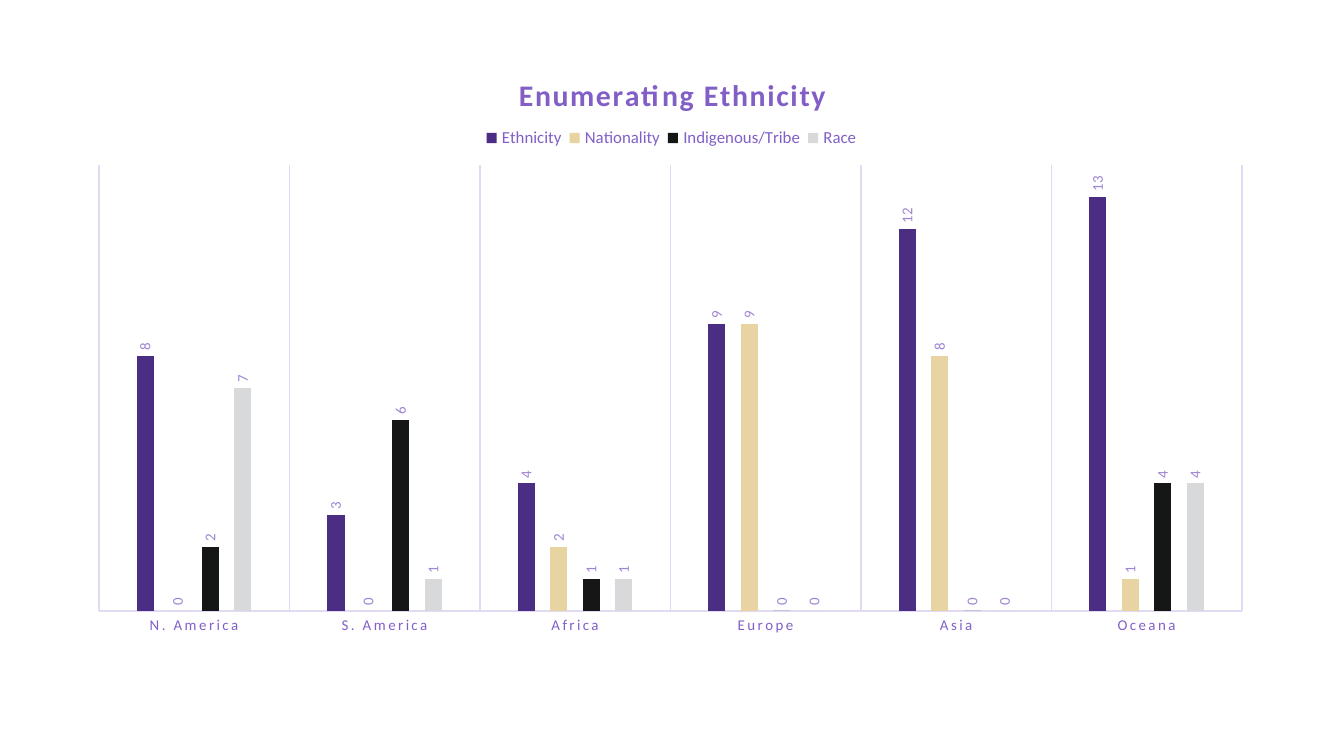
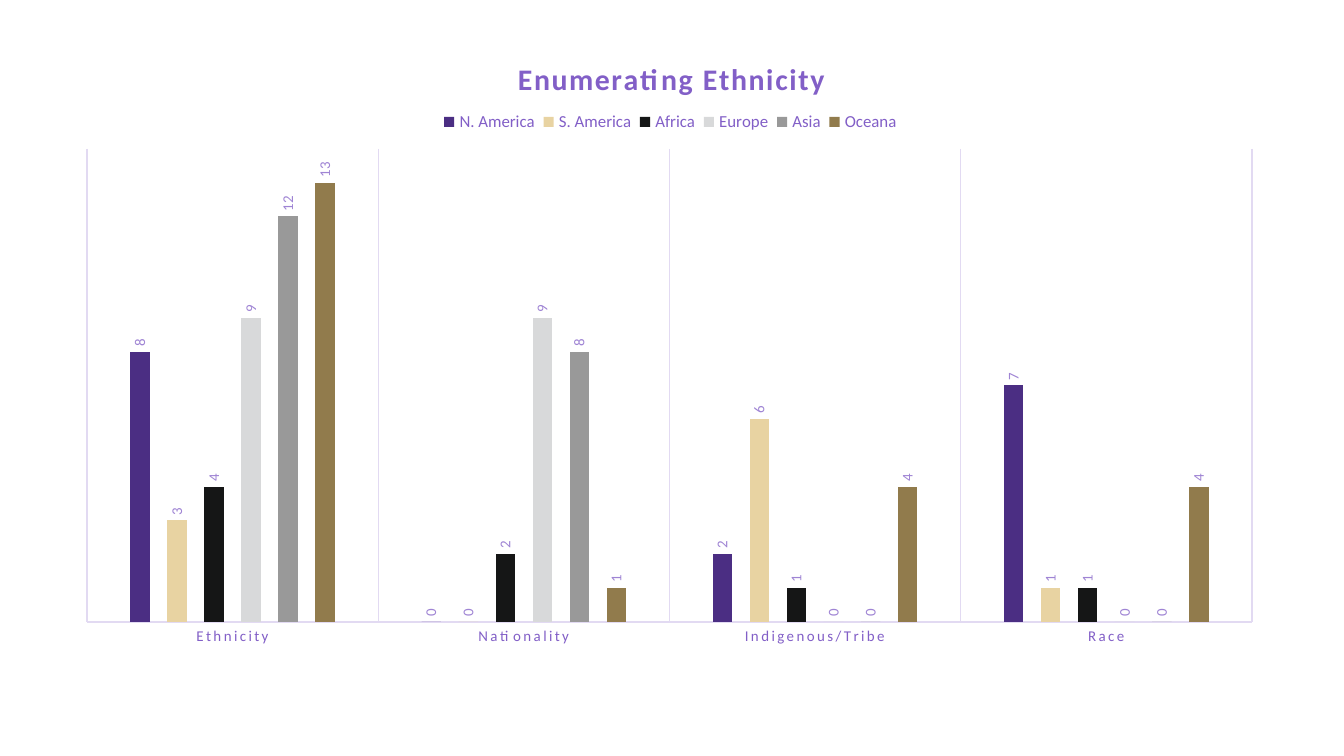
from lxml.etree import SubElement
from pptx import Presentation
from pptx.chart.data import CategoryChartData
from pptx.dml.color import RGBColor
from pptx.enum.chart import (XL_CHART_TYPE, XL_LABEL_POSITION,
                             XL_LEGEND_POSITION, XL_TICK_MARK)
from pptx.oxml.ns import qn
from pptx.util import Pt

# Content
TITLE = "Enumerating Ethnicity"
REGIONS = ["N. America", "S. America", "Africa", "Europe", "Asia", "Oceana"]
COUNTS = {
    "Ethnicity": [8, 3, 4, 9, 12, 13],
    "Nationality": [0, 0, 2, 9, 8, 1],
    "Indigenous/Tribe": [2, 6, 1, 0, 0, 4],
    "Race": [7, 1, 1, 0, 0, 4],
}
BY_REGION = dict(zip(REGIONS, map(list, zip(*COUNTS.values()))))

# Chart frames as left, top, width, height in px, with the legend width
PAGES = [
    {"categories": REGIONS, "series": COUNTS,
     "frame": (77, 44, 1189, 603), "legend_width": 386},
    {"categories": list(COUNTS), "series": BY_REGION,
     "frame": (65, 28, 1211, 630), "legend_width": 470},
]

# Shared look
PURPLE = RGBColor(0x4B, 0x2E, 0x83)
VIOLET = RGBColor(0x82, 0x5F, 0xC7)
LILAC = RGBColor(0x9F, 0x84, 0xD4)
PALE = RGBColor(0xE2, 0xDA, 0xF2)
SERIES_COLOURS = [PURPLE, RGBColor(0xE8, 0xD3, 0xA2), RGBColor(0x15, 0x16, 0x16),
                  RGBColor(0xD8, 0xD9, 0xDA), RGBColor(0x99, 0x99, 0x99),
                  RGBColor(0x91, 0x7B, 0x4C)]
FONT = "Calibri"
BASE_TEXT = {"name": FONT, "size": Pt(10), "color": PURPLE}
TITLE_TEXT = {"name": FONT, "size": Pt(16), "bold": True, "color": VIOLET}
LEGEND_TEXT = {"name": FONT, "size": Pt(9), "color": VIOLET}
AXIS_TEXT = {"name": FONT, "size": Pt(8), "bold": False, "color": VIOLET}
LABEL_TEXT = {"name": FONT, "size": Pt(8), "bold": False, "color": LILAC}

# Places inside a chart frame, in px
TITLE_TOP, TITLE_WIDTH = 26, 316
LEGEND_TOP, LEGEND_HEIGHT = 80, 28
PLOT_LEFT, PLOT_TOP, PLOT_RIGHT, PLOT_BOTTOM = 22, 121, 24, 36
AXIS_MAXIMUM = 14


def px(length):
    return round(length * 914400 / 134.4)


def style_font(font, values):
    for name, value in values.items():
        if name == "color":
            font.color.rgb = value
        else:
            setattr(font, name, value)


def style_line(line):
    line.color.rgb = PALE
    line.width = Pt(0.75)


def place(parent, index, fractions, inner=False):
    """Give a chart part a manual layout, as fractions of the frame."""
    for old in parent.findall(qn("c:layout")):
        parent.remove(old)
    layout = SubElement(parent, qn("c:layout"))
    parent.insert(index, layout)
    manual = SubElement(layout, qn("c:manualLayout"))
    settings = [("layoutTarget", "inner")] if inner else []
    settings += [("xMode", "edge"), ("yMode", "edge")]
    settings += zip("xywh", fractions)
    for tag, value in settings:
        SubElement(manual, qn(f"c:{tag}")).set("val", str(value))


def add_bar_chart(page, categories, series, frame, legend_width):
    data = CategoryChartData(number_format="General")
    data.categories = categories
    for name, values in series.items():
        data.add_series(name, values)
    chart = page.shapes.add_chart(
        XL_CHART_TYPE.COLUMN_CLUSTERED, *map(px, frame), data).chart
    style_font(chart.font, BASE_TEXT)

    # Title and legend
    chart.has_title = True
    title_frame = chart.chart_title.text_frame
    title_frame.text = TITLE
    style_font(title_frame.paragraphs[0].runs[0].font, TITLE_TEXT)
    chart.has_legend = True
    chart.legend.position = XL_LEGEND_POSITION.TOP
    chart.legend.include_in_layout = False
    style_font(chart.legend.font, LEGEND_TEXT)

    # Axes
    axis = chart.category_axis
    axis.major_tick_mark = axis.minor_tick_mark = XL_TICK_MARK.NONE
    axis.has_major_gridlines = True
    style_line(axis.format.line)
    style_line(axis.major_gridlines.format.line)
    style_font(axis.tick_labels.font, AXIS_TEXT)
    scale = chart.value_axis
    scale.minimum_scale, scale.maximum_scale = 0, AXIS_MAXIMUM
    scale.has_major_gridlines = False
    scale.visible = False

    # Columns and their labels
    plot = chart.plots[0]
    plot.gap_width, plot.overlap = 444, -90
    plot.vary_by_categories = False
    for column, colour in zip(plot.series, SERIES_COLOURS):
        column.format.fill.solid()
        column.format.fill.fore_color.rgb = colour
        labels = column.data_labels
        labels.show_value = True
        labels.position = XL_LABEL_POSITION.OUTSIDE_END
        style_font(labels.font, LABEL_TEXT)

    # Letter spacing and upright labels
    root = chart.element
    for body in root.xpath(".//c:dLbls/c:txPr/a:bodyPr"):
        body.set("rot", "-5400000")
        body.set("vert", "horz")
    for query, spacing in ((".//c:title//a:rPr", "100"),
                           (".//c:catAx/c:txPr//a:defRPr", "120")):
        for properties in root.xpath(query):
            properties.set("spc", spacing)

    # Layout of title, legend and plot
    width, height = frame[2:]

    def fractions(left, top, *size):
        return [round(length / whole, 4) for length, whole
                in zip((left, top, *size), (width, height) * 2)]

    place(root.xpath(".//c:title")[0], 1,
          fractions((width - TITLE_WIDTH) / 2, TITLE_TOP))
    place(root.xpath(".//c:legend")[0], 1,
          fractions((width - legend_width) / 2, LEGEND_TOP,
                    legend_width, LEGEND_HEIGHT))
    place(root.xpath(".//c:plotArea")[0], 0,
          fractions(PLOT_LEFT, PLOT_TOP, width - PLOT_LEFT - PLOT_RIGHT,
                    height - PLOT_TOP - PLOT_BOTTOM), inner=True)


def main():
    deck = Presentation()
    deck.slide_width, deck.slide_height = px(1344), px(756)
    blank = deck.slide_layouts[6]
    for content in PAGES:
        add_bar_chart(deck.slides.add_slide(blank), **content)
    deck.save("out.pptx")


if __name__ == "__main__":
    main()
